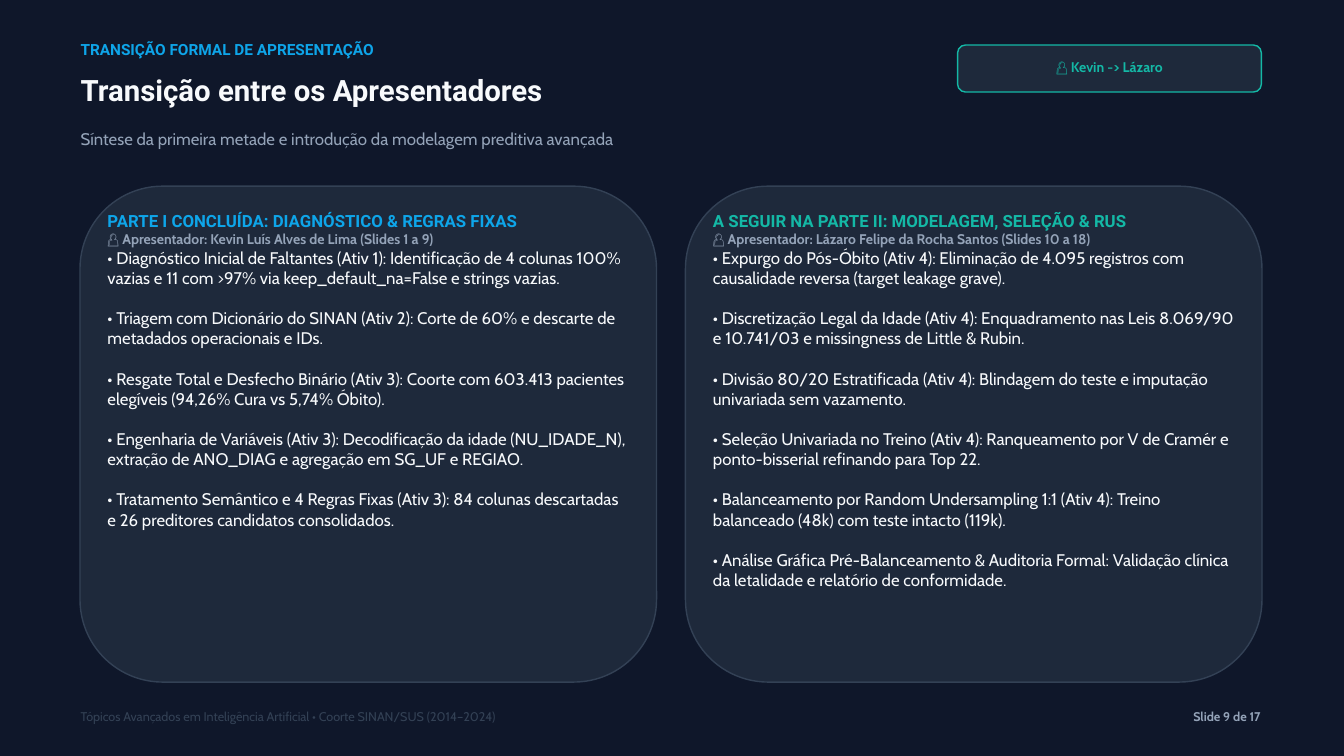
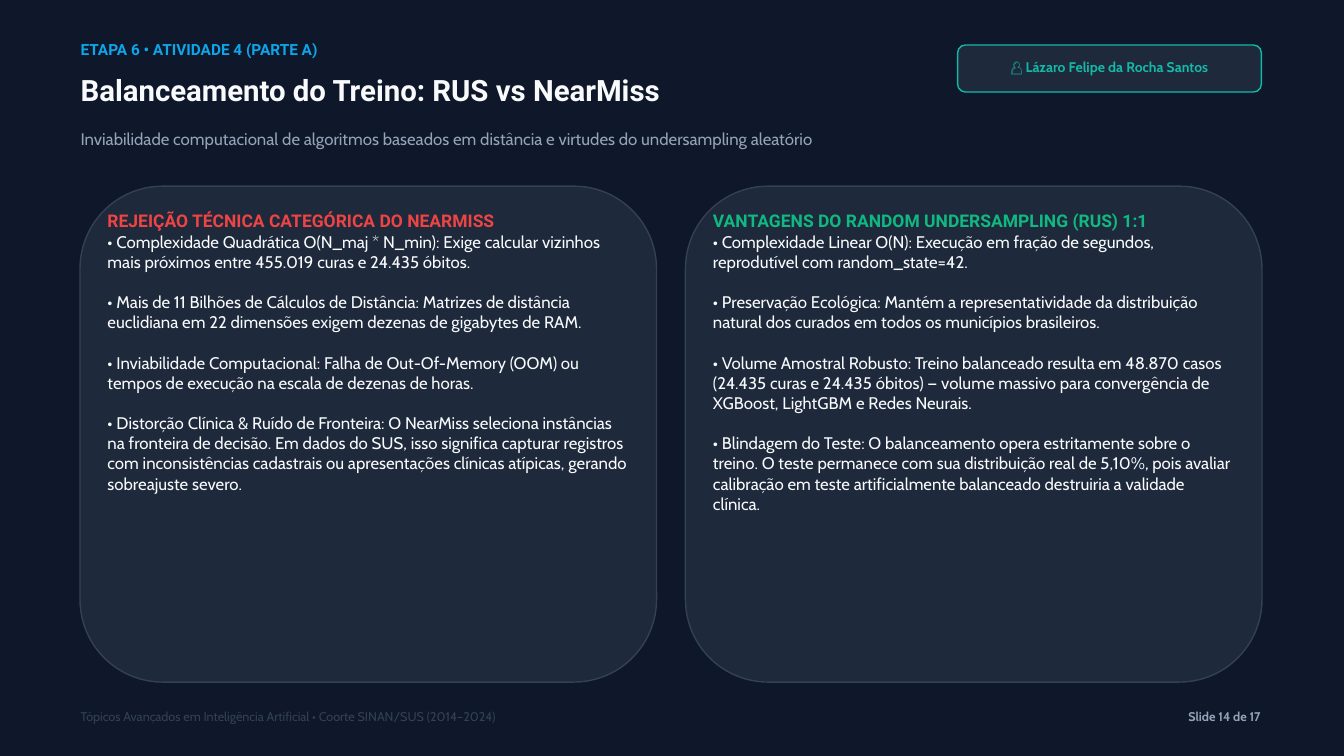
from pptx import Presentation
from pptx.dml.color import RGBColor
from pptx.enum.shapes import MSO_SHAPE
from pptx.enum.text import MSO_ANCHOR, MSO_AUTO_SIZE, PP_ALIGN
from pptx.util import Inches, Pt

ROUNDED = MSO_SHAPE.ROUNDED_RECTANGLE
LEFT, CENTER, RIGHT = PP_ALIGN.LEFT, PP_ALIGN.CENTER, PP_ALIGN.RIGHT
TOP, MIDDLE = MSO_ANCHOR.TOP, MSO_ANCHOR.MIDDLE

# Shared colours and fonts
NIGHT, PANEL, BORDER = "0F172A", "1E293B", "334155"
WHITE, GREY = "F8FAFC", "94A3B8"
BLUE, TEAL, RED, GREEN = "0EA5E9", "14B8A6", "EF4444", "10B981"
HEAD_FONT, BODY_FONT = "Roboto", "Cabin"

# Shared layout, in inches
MARGIN = 1.2
CARD_LEFTS = (1.19, 10.2)
CARD_TOP, CARD_WIDTH, CARD_HEIGHT = 2.77, 8.58, 7.38
CARD_PADDING_X, CARD_PADDING_Y = 0.41, 0.36
BODY_SIZE = 18
LINE_FACTOR = 1.2

FOOTER = "Tópicos Avançados em Inteligência Artificial • Coorte SINAN/SUS (2014–2024)"

SLIDES = [
    {
        "section": "TRANSIÇÃO FORMAL DE APRESENTAÇÃO",
        "title": "Transição entre os Apresentadores",
        "subtitle": "Síntese da primeira metade e introdução da modelagem preditiva avançada",
        "presenter": "👤 Kevin -> Lázaro",
        "number": "Slide 9 de 17",
        "heading_size": 18,
        "cards": [
            {
                "heading": "PARTE I CONCLUÍDA: DIAGNÓSTICO & REGRAS FIXAS",
                "color": BLUE,
                "speaker": "👤 Apresentador: Kevin Luís Alves de Lima (Slides 1 a 9)",
                "points": [
                    "• Diagnóstico Inicial de Faltantes (Ativ 1): Identificação de 4 colunas 100% "
                    "vazias e 11 com >97% via keep_default_na=False e strings vazias.",
                    "• Triagem com Dicionário do SINAN (Ativ 2): Corte de 60% e descarte de "
                    "metadados operacionais e IDs.",
                    "• Resgate Total e Desfecho Binário (Ativ 3): Coorte com 603.413 pacientes "
                    "elegíveis (94,26% Cura vs 5,74% Óbito).",
                    "• Engenharia de Variáveis (Ativ 3): Decodificação da idade (NU_IDADE_N), "
                    "extração de ANO_DIAG e agregação em SG_UF e REGIAO.",
                    "• Tratamento Semântico e 4 Regras Fixas (Ativ 3): 84 colunas descartadas "
                    "e 26 preditores candidatos consolidados.",
                ],
            },
            {
                "heading": "A SEGUIR NA PARTE II: MODELAGEM, SELEÇÃO & RUS",
                "color": TEAL,
                "speaker": "👤 Apresentador: Lázaro Felipe da Rocha Santos (Slides 10 a 18)",
                "points": [
                    "• Expurgo do Pós-Óbito (Ativ 4): Eliminação de 4.095 registros com "
                    "causalidade reversa (target leakage grave).",
                    "• Discretização Legal da Idade (Ativ 4): Enquadramento nas Leis 8.069/90 "
                    "e 10.741/03 e missingness de Little & Rubin.",
                    "• Divisão 80/20 Estratificada (Ativ 4): Blindagem do teste e imputação "
                    "univariada sem vazamento.",
                    "• Seleção Univariada no Treino (Ativ 4): Ranqueamento por V de Cramér e "
                    "ponto-bisserial refinando para Top 22.",
                    "• Balanceamento por Random Undersampling 1:1 (Ativ 4): Treino "
                    "balanceado (48k) com teste intacto (119k).",
                    "• Análise Gráfica Pré-Balanceamento & Auditoria Formal: Validação clínica "
                    "da letalidade e relatório de conformidade.",
                ],
            },
        ],
    },
    {
        "section": "ETAPA 6 • ATIVIDADE 4 (PARTE A)",
        "title": "Balanceamento do Treino: RUS vs NearMiss",
        "subtitle": "Inviabilidade computacional de algoritmos baseados em distância e virtudes "
                    "do undersampling aleatório",
        "presenter": "👤 Lázaro Felipe da Rocha Santos",
        "number": "Slide 14 de 17",
        "heading_size": 18.75,
        "cards": [
            {
                "heading": "REJEIÇÃO TÉCNICA CATEGÓRICA DO NEARMISS",
                "color": RED,
                "speaker": None,
                "points": [
                    "• Complexidade Quadrática O(N_maj * N_min): Exige calcular vizinhos "
                    "mais próximos entre 455.019 curas e 24.435 óbitos.",
                    "• Mais de 11 Bilhões de Cálculos de Distância: Matrizes de distância "
                    "euclidiana em 22 dimensões exigem dezenas de gigabytes de RAM.",
                    "• Inviabilidade Computacional: Falha de Out-Of-Memory (OOM) ou "
                    "tempos de execução na escala de dezenas de horas.",
                    "• Distorção Clínica & Ruído de Fronteira: O NearMiss seleciona instâncias "
                    "na fronteira de decisão. Em dados do SUS, isso significa capturar registros "
                    "com inconsistências cadastrais ou apresentações clínicas atípicas, gerando "
                    "sobreajuste severo.",
                ],
            },
            {
                "heading": "VANTAGENS DO RANDOM UNDERSAMPLING (RUS) 1:1",
                "color": GREEN,
                "speaker": None,
                "points": [
                    "• Complexidade Linear O(N): Execução em fração de segundos, "
                    "reprodutível com random_state=42.",
                    "• Preservação Ecológica: Mantém a representatividade da distribuição "
                    "natural dos curados em todos os municípios brasileiros.",
                    "• Volume Amostral Robusto: Treino balanceado resulta em 48.870 casos "
                    "(24.435 curas e 24.435 óbitos) — volume massivo para convergência de "
                    "XGBoost, LightGBM e Redes Neurais.",
                    "• Blindagem do Teste: O balanceamento opera estritamente sobre o "
                    "treino. O teste permanece com sua distribuição real de 5,10%, pois avaliar "
                    "calibração em teste artificialmente balanceado destruiria a validade clínica.",
                ],
            },
        ],
    },
]


def rgb(color):
    return RGBColor.from_string(color)


def write(box, lines, align=LEFT, anchor=TOP):
    """Fill a box with lines of (text, font, size, colour, bold, space before)."""
    frame = box.text_frame
    frame.word_wrap = True
    frame.auto_size = MSO_AUTO_SIZE.NONE
    frame.vertical_anchor = anchor
    frame.margin_left = frame.margin_right = frame.margin_top = frame.margin_bottom = 0
    for index, (text, font, size, color, bold, before) in enumerate(lines):
        para = frame.add_paragraph() if index else frame.paragraphs[0]
        para.alignment = align
        para.line_spacing = Pt(size * LINE_FACTOR)
        para.space_before = Pt(before)
        span = para.add_run()
        span.text = text
        span.font.name = font
        span.font.size = Pt(size)
        span.font.bold = bold
        span.font.color.rgb = rgb(color)


deck = Presentation()
deck.slide_width, deck.slide_height = Inches(20), Inches(11.25)
title_only = deck.slide_layouts[5]

# Dark background for every slide
backdrop = deck.slide_master.background.fill
backdrop.solid()
backdrop.fore_color.rgb = rgb(NIGHT)

for content in SLIDES:
    page = deck.slides.add_slide(title_only)

    # Title placeholder
    title = page.shapes.title
    title.left, title.top = Inches(MARGIN), Inches(1.08)
    title.width, title.height = Inches(12.76), Inches(0.83)
    write(title, [(content["title"], HEAD_FONT, 31.5, WHITE, True, 0)])

    # Section label, subtitle and footer
    labels = [
        (MARGIN, 0.6, 12.76, 0.48, content["section"], HEAD_FONT, 16.5, BLUE, True, LEFT),
        (MARGIN, 1.91, 12.76, 0.61, content["subtitle"], BODY_FONT, 18, GREY, False, LEFT),
        (MARGIN, 10.55, 12.01, 0.48, FOOTER, BODY_FONT, 13.5, BORDER, False, LEFT),
        (15.76, 10.55, 3, 0.25, content["number"], BODY_FONT, 13.5, GREY, True, RIGHT),
    ]
    for left, top, width, height, text, font, size, color, bold, align in labels:
        box = page.shapes.add_textbox(Inches(left), Inches(top), Inches(width), Inches(height))
        write(box, [(text, font, size, color, bold, 0)], align)

    # Presenter badge and the two cards
    frames = [(14.25, 0.67, 4.52, 0.7, TEAL)]
    frames += [(left, CARD_TOP, CARD_WIDTH, CARD_HEIGHT, BORDER) for left in CARD_LEFTS]
    panels = []
    for left, top, width, height, outline in frames:
        panel = page.shapes.add_shape(
            ROUNDED, Inches(left), Inches(top), Inches(width), Inches(height))
        panel.shadow.inherit = False
        panel.fill.solid()
        panel.fill.fore_color.rgb = rgb(PANEL)
        panel.line.color.rgb = rgb(outline)
        panel.line.width = Pt(1.5)
        panels.append(panel)
    badge = panels[0]
    write(badge, [(content["presenter"], BODY_FONT, 15, TEAL, True, 0)], CENTER, MIDDLE)
    badge.text_frame.margin_bottom = Inches(0.04)

    # Card text
    for left, card in zip(CARD_LEFTS, content["cards"]):
        lines = [(card["heading"], HEAD_FONT, content["heading_size"], card["color"], True, 0)]
        if card["speaker"]:
            lines.append((card["speaker"], BODY_FONT, 15, GREY, True, 0))
        for index, point in enumerate(card["points"]):
            gap = BODY_SIZE * LINE_FACTOR if index else 0
            lines.append((point, BODY_FONT, BODY_SIZE, WHITE, False, gap))
        box = page.shapes.add_textbox(
            Inches(left + CARD_PADDING_X), Inches(CARD_TOP + CARD_PADDING_Y),
            Inches(CARD_WIDTH - 2 * CARD_PADDING_X), Inches(CARD_HEIGHT - 2 * CARD_PADDING_Y))
        write(box, lines)

deck.save("out.pptx")
